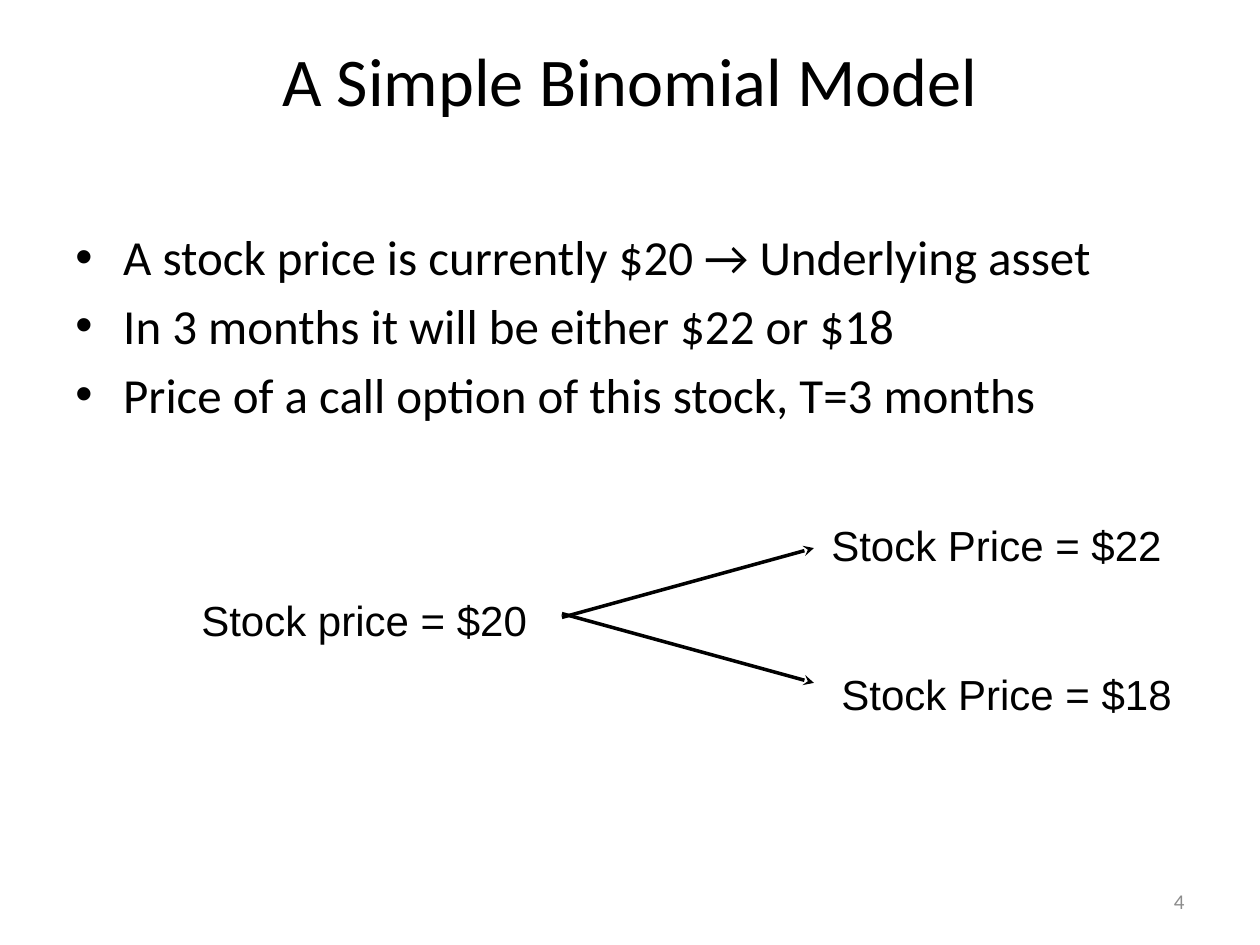
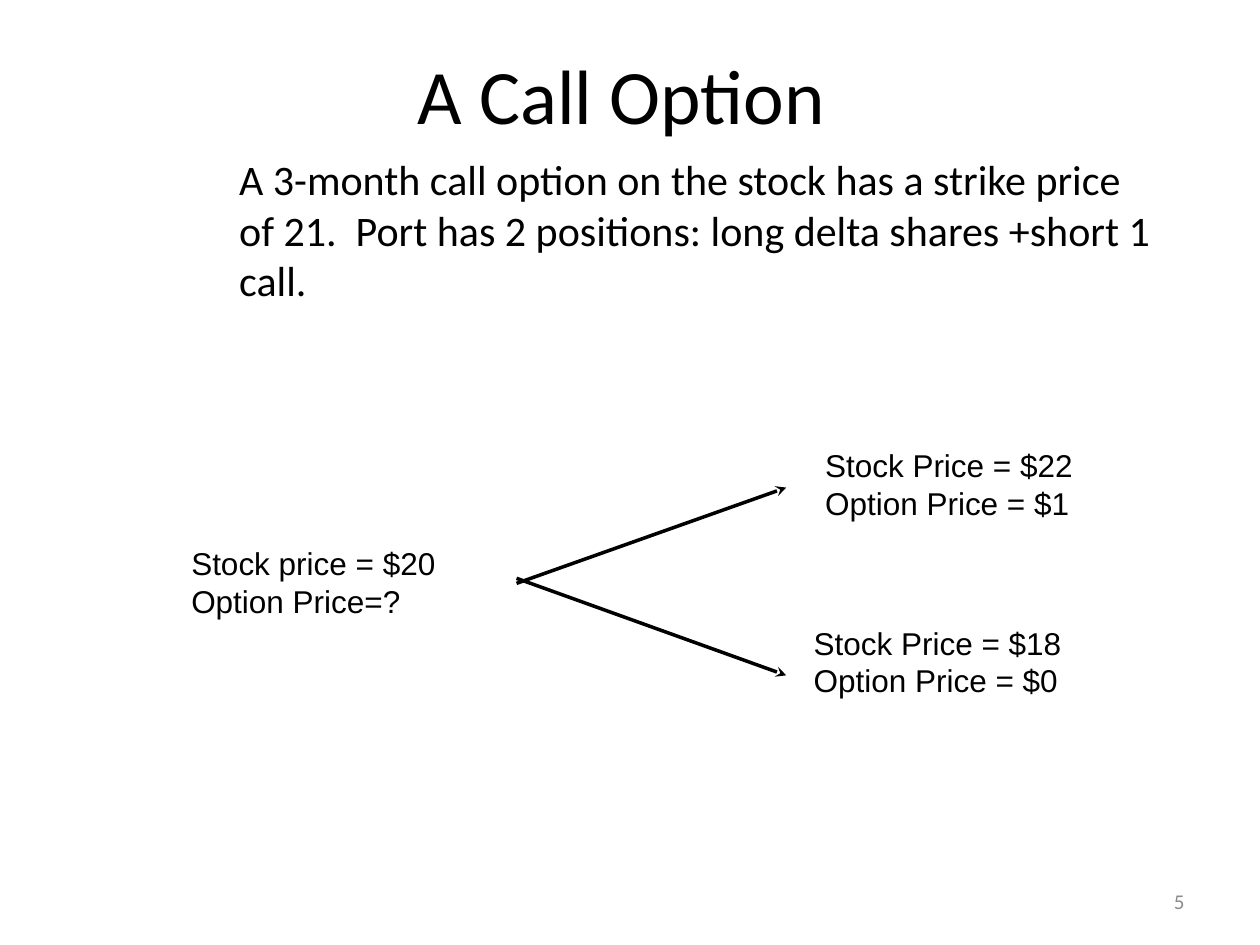
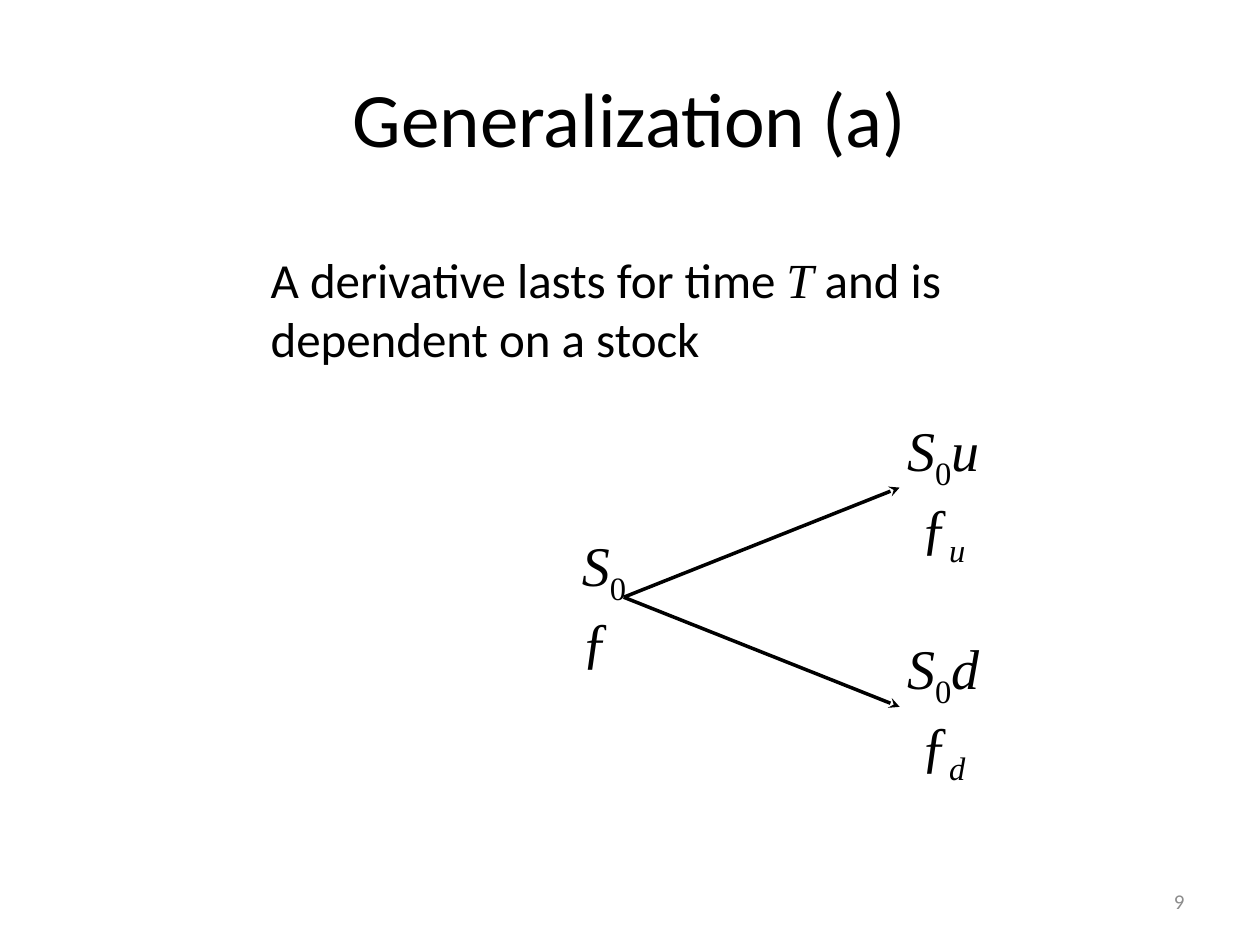
import dataclasses

import pptx
import pptx.dml.color
import pptx.enum.shapes
import pptx.enum.text
import pptx.oxml.ns
import pptx.util
from lxml import etree

Inches = pptx.util.Inches
Pt = pptx.util.Pt
Align = pptx.enum.text.PP_ALIGN
Anchor = pptx.enum.text.MSO_ANCHOR
qn = pptx.oxml.ns.qn


@dataclasses.dataclass(frozen=True)
class Theme:
    ink: str = "000000"
    muted: str = "8C8C8C"
    paper: str = "FFFFFF"
    heading_font: str = "Calibri"
    label_font: str = "Arial"
    math_font: str = "Times New Roman"
    title_size: int = 44
    long_title_size: int = 39
    body_size: int = 28
    small_body_size: int = 24
    label_size: int = 24
    small_label_size: int = 18
    math_size: int = 32
    number_size: int = 12
    line_width: int = 2
    indent: float = 0.38


THEME = Theme()


def color(value):
    return pptx.dml.color.RGBColor.from_string(value)


def add_span(para, text, size, font, ink, italic=False, subscript=False):
    span = para.add_run()
    span.text = text
    span.font.size = Pt(size)
    span.font.name = font
    span.font.italic = italic
    span.font.color.rgb = color(ink)
    if subscript:
        span.font._element.set("baseline", "-25000")


def add_text(page, place, paragraphs, size, font=THEME.heading_font, ink=THEME.ink,
             align=Align.LEFT, anchor=Anchor.TOP, wrap=True, top_inset=0.05,
             indent=0, bullet=None, gap=0):
    box = page.shapes.add_textbox(*map(Inches, place))
    frame = box.text_frame
    frame.word_wrap = wrap
    frame.vertical_anchor = anchor
    frame.margin_top = Inches(top_inset)
    for index, spans in enumerate(paragraphs):
        para = frame.paragraphs[0] if index == 0 else frame.add_paragraph()
        para.alignment = align
        para.space_before = Pt(gap if index else 0)
        properties = para._p.get_or_add_pPr()
        properties.set("marL", str(Inches(indent)))
        if bullet:
            properties.set("indent", str(-Inches(indent)))
            etree.SubElement(properties, qn("a:buFont")).set("typeface", "Arial")
            etree.SubElement(properties, qn("a:buChar")).set("char", bullet)
        for span in [(spans, {})] if isinstance(spans, str) else spans:
            text, changes = span
            add_span(para, text, **{"size": size, "font": font, "ink": ink, **changes})
    return box


def add_page(deck, number, title, place, size=THEME.title_size, **title_format):
    page = deck.slides.add_slide(deck.slide_layouts[6])
    page.background.fill.solid()
    page.background.fill.fore_color.rgb = color(THEME.paper)
    add_text(page, (7.17, 6.95, 2.33, 0.4), [str(number)], THEME.number_size,
             ink=THEME.muted, align=Align.RIGHT, anchor=Anchor.MIDDLE)
    add_text(page, place, [title], size, align=Align.CENTER,
             **{"anchor": Anchor.MIDDLE, **title_format})
    return page


def add_body(page, place, paragraphs, size, bullet=None):
    add_text(page, place, paragraphs, size, indent=THEME.indent, bullet=bullet,
             gap=size * 0.2)


def add_arrow(page, start, end):
    arrow = page.shapes.add_connector(
        pptx.enum.shapes.MSO_CONNECTOR.STRAIGHT, *map(Inches, start + end))
    arrow.line.width = Pt(THEME.line_width)
    arrow.line.color.rgb = color(THEME.ink)
    line = arrow.line._get_or_add_ln()
    etree.SubElement(line, qn("a:tailEnd")).set("type", "stealth")
    etree.SubElement(arrow._element.spPr, qn("a:effectLst"))


def add_fork(page, left, right, up, down):
    for start, end in (up, down):
        add_arrow(page, (left, start), (right, end))


def add_labels(page, labels, size, font=THEME.label_font, wrap=True):
    for place, lines in labels:
        add_text(page, place, lines, size, font=font, wrap=wrap)


def node(factor=None):
    italic = {"italic": True}
    price = [("S", italic), ("0", {"subscript": True})]
    if factor is None:
        return [price, "ƒ"]
    return [price + [(factor, italic)],
            [(" ƒ", {}), (factor, {"italic": True, "subscript": True})]]


def add_binomial_model(deck):
    page = add_page(deck, 4, "A Simple Binomial Model", (0.5, 0.3, 9, 1.25),
                    THEME.long_title_size, anchor=Anchor.TOP, top_inset=0)
    add_body(page, (0.5, 1.75, 9, 4.95), [
        "A stock price is currently $20 → Underlying asset",
        "In 3 months it will be either $22 or $18",
        "Price of a call option of this stock, T=3 months",
    ], THEME.body_size, bullet="•")
    add_fork(page, 4.46, 6.46, up=(4.9, 4.35), down=(4.87, 5.42))
    add_labels(page, [
        ((1.5, 4.67, 3.04, 0.51), ["Stock price = $20"]),
        ((6.5, 4.07, 3, 0.91), ["Stock Price = $22"]),
        ((6.58, 5.26, 3.14, 0.41), ["Stock Price = $18"]),
    ], THEME.label_size)


def add_call_option(deck):
    page = add_page(deck, 5, "A Call Option ", (0.5, 0.12, 9, 1.25))
    add_body(page, (1.42, 1.17, 7.9, 5.58), [
        "A 3-month call option on the stock has a strike price of 21.  "
        "Port has 2 positions: long delta shares +short 1 call.",
    ], THEME.small_body_size)
    add_fork(page, 4.1, 6.24, up=(4.63, 3.87), down=(4.59, 5.36))
    add_labels(page, [
        ((1.42, 4.27, 2.77, 0.71), ["Stock price = $20", "Option Price=?"]),
        ((6.45, 3.49, 2.92, 0.71), ["Stock Price = $22", "Option Price = $1"]),
        ((6.36, 4.9, 3.36, 0.71), ["Stock Price = $18", "Option Price = $0"]),
    ], THEME.small_label_size)


def add_generalization(deck):
    page = add_page(deck, 9, "Generalization (a)", (0.5, 0.3, 9, 1.25))
    add_body(page, (1.67, 1.93, 7.66, 4.77), [[
        ("A derivative lasts for time ", {}),
        ("T", {"font": THEME.math_font, "italic": True}),
        (" and is dependent on a stock", {}),
    ]], THEME.body_size)
    add_fork(page, 4.95, 7.14, up=(4.74, 3.87), down=(4.74, 5.61))
    add_labels(page, [
        ((4.52, 4.16, 0.57, 1.27), node()),
        ((7.1, 3.25, 0.79, 1.27), node("u")),
        ((7.1, 4.98, 0.79, 1.27), node("d")),
    ], THEME.math_size, font=THEME.math_font, wrap=False)


def main():
    deck = pptx.Presentation()
    deck.slide_width = Inches(10)
    deck.slide_height = Inches(7.5)
    add_binomial_model(deck)
    add_call_option(deck)
    add_generalization(deck)
    deck.save("out.pptx")


if __name__ == "__main__":
    main()
